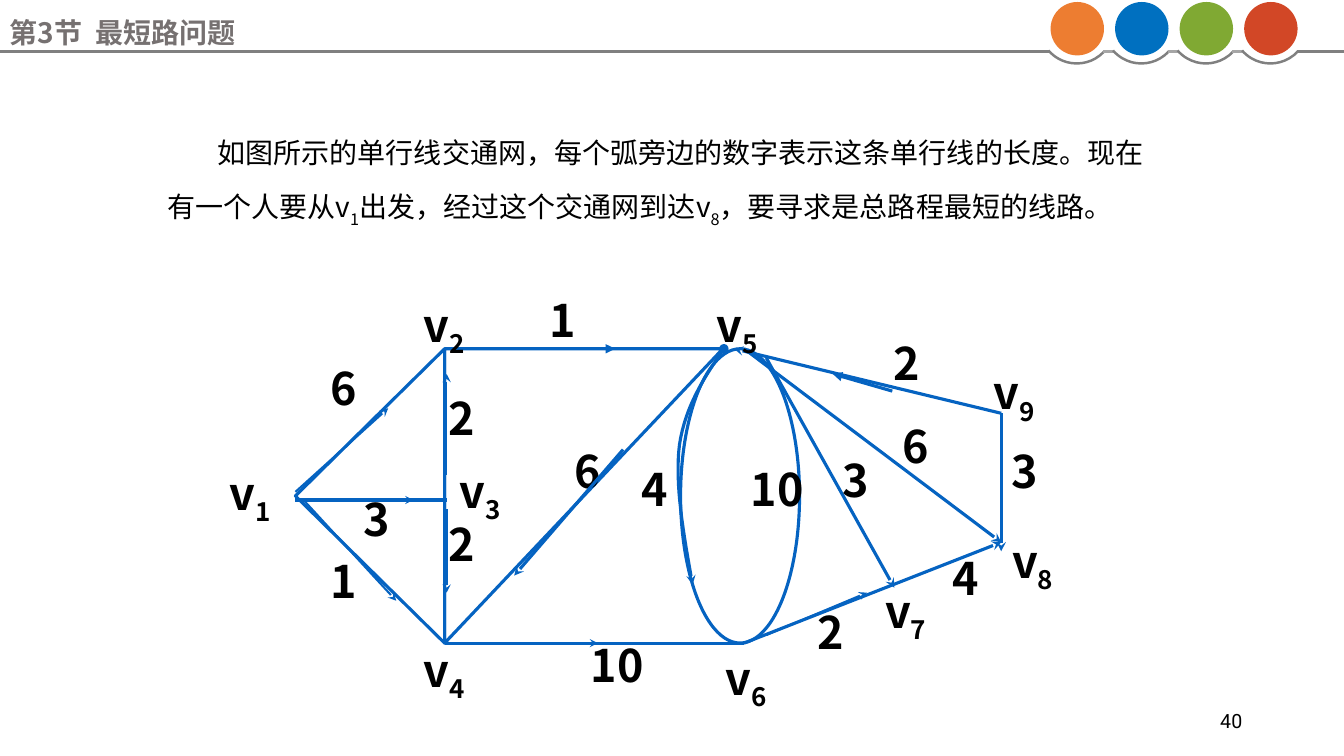
"""Build the slide on the shortest-path problem in a one-way road network."""
import pptx
import pptx.dml.color
import pptx.enum.shapes
import pptx.enum.text
import pptx.oxml.ns
import pptx.util
from lxml import etree

SHAPE = pptx.enum.shapes.MSO_SHAPE
ALIGN = pptx.enum.text.PP_ALIGN
ANCHOR = pptx.enum.text.MSO_ANCHOR
FIT = pptx.enum.text.MSO_AUTO_SIZE.SHAPE_TO_FIT_TEXT
qn = pptx.oxml.ns.qn

THEME = {
    "font": "Noto Sans CJK SC", "page_font": "Roboto",
    "ink": "000000", "edge": "0563C1", "heading": "767171",
    "rule": "808080", "link": "A6A6A6",
    "dots": ["ED7D31", "0070C0", "80A933", "D24726"],
    "body": 20, "label": 32, "page": 14,
    "thick": 2.25, "medium": 1.5, "thin": 0.75, "rule_width": 1.77,
}

HEADING = "第3节  最短路问题"
PAGE = "40"
QUESTION = [
    ("如图所示的单行线交通网，每个弧旁边的数字表示这条单行线的长度。现在有一个人要从v", 0),
    ("1", -30), ("出发，经过这个交通网到达v", 0), ("8", -30),
    ("，要寻求是总路程最短的线路。", 0),
]

# Positions below are in inches; cm() turns them into lengths.
NODES = {
    "1": (2.18, 4.63), "2": (4.1, 2.96), "3": (4.46, 4.61),
    "4": (4.1, 6.38), "5": (7.01, 2.96), "6": (7.1, 6.46),
    "7": (8.68, 5.8), "8": (9.94, 5.3), "9": (9.76, 3.63),
}
WEIGHTS = [
    ("6", 3.18, 3.63), ("3", 8.26, 4.55), ("6", 8.85, 4.21),
    ("2", 8.76, 3.38), ("3", 9.93, 4.46), ("4", 9.35, 5.52),
    ("10", 5.76, 6.38), ("2", 8.01, 6.05), ("3", 3.51, 4.93),
    ("1", 3.18, 5.55), ("2", 4.35, 3.93), ("6", 5.6, 4.46),
    ("2", 4.35, 5.18), ("4", 6.26, 4.63), ("10", 7.35, 4.63),
]
EDGES = [
    ((4.41, 6.38), (7.38, 6.38), "thick", None, None),
    ((7.38, 6.38), (9.93, 5.38), "thick", None, "stealth"),
    ((9.93, 4.1), (9.93, 5.47), "thick", None, "stealth"),
    ((7.28, 3.46), (9.93, 4.1), "thick", "stealth", None),
    ((7.38, 3.46), (9.93, 5.38), "thick", None, "stealth"),
    ((7.6, 3.55), (8.87, 5.83), "thick", None, "stealth"),
    ((2.93, 4.96), (4.43, 4.96), "thick", None, None),
]
DIRECTIONS = [
    ((2.93, 4.88), (3.85, 4.05), "medium", None, "stealth"),
    ((3.01, 4.96), (3.93, 5.96), "medium", None, "stealth"),
    ((3.01, 4.96), (4.1, 4.96), "medium", None, "stealth"),
    ((4.43, 4.71), (4.43, 3.71), "thin", None, "stealth"),
    ((4.43, 5.05), (4.43, 5.88), "medium", None, "stealth"),
    ((6.18, 4.46), (5.1, 5.71), "thick", None, "stealth"),
    ((4.85, 6.38), (5.93, 6.38), "medium", None, "stealth"),
    ((7.6, 6.3), (8.6, 5.88), "medium", None, "stealth"),
    ((5.35, 3.46), (6.1, 3.46), "thick", None, "triangle"),
    ((8.85, 3.88), (8.26, 3.71), "thick", None, "triangle"),
]
CURVE = [
    ((7.18, 3.46), (6.99, 3.74), (6.8, 4.02), (6.74, 4.41)),
    ((6.74, 4.41), (6.69, 4.8), (6.78, 5.3), (6.87, 5.8)),
]
CURVE_STEPS = 16
DOT_LEFT, DOT_TOP, DOT_SIZE, DOT_PITCH = 10.42, 0.02, 0.53, 0.64
ARC_LEFT, ARC_TOP, ARC_SIZE = 10.31, -0.11, 0.74
RULE_Y = 0.51


def cm(inches):
    return pptx.util.Cm(inches * 2.54)


def rgb(color):
    return pptx.dml.color.RGBColor.from_string(color)


def set_line(s, color, width, head=None, tail=None):
    s.line.color.rgb = rgb(color)
    s.line.width = pptx.util.Pt(width)
    ln = s.line._get_or_add_ln()
    for tag, kind in (("a:headEnd", head), ("a:tailEnd", tail)):
        if kind:
            etree.SubElement(ln, qn(tag)).set("type", kind)


def add_line(slide, start, end, color, width, head=None, tail=None):
    c = slide.shapes.add_connector(
        pptx.enum.shapes.MSO_CONNECTOR.STRAIGHT, *map(cm, start + end))
    set_line(c, color, width, head, tail)
    etree.SubElement(c._element.spPr, qn("a:effectLst"))


def add_shape(slide, kind, box, fill=None, line=None, width=THEME["thick"]):
    sp = slide.shapes.add_shape(kind, *map(cm, box))
    sp.shadow.inherit = False
    if fill:
        sp.fill.solid()
        sp.fill.fore_color.rgb = rgb(fill)
    else:
        sp.fill.background()
    if line:
        set_line(sp, line, width)
    else:
        sp.line.fill.background()
    return sp


def add_text(slide, box, runs, size, color=THEME["ink"], font=THEME["font"],
             bold=False, wrap=True):
    tf = slide.shapes.add_textbox(*map(cm, box)).text_frame
    tf.word_wrap = wrap
    p = tf.paragraphs[0]
    for text, baseline in runs:
        r = p.add_run()
        r.text = text
        r.font.size = pptx.util.Pt(size)
        r.font.bold = bold
        r.font.name = font
        r.font.color.rgb = rgb(color)
        rPr = r.font._element
        etree.SubElement(rPr, qn("a:ea")).set("typeface", font)
        if baseline:
            rPr.set("baseline", str(baseline * 1000))
    return tf, p


def add_label(slide, box, runs, wrap=False, before=20):
    tf, p = add_text(slide, box, runs, THEME["label"], bold=True, wrap=wrap)
    tf.auto_size = FIT
    p.line_spacing = 0.8
    spacing = etree.SubElement(p._p.get_or_add_pPr(), qn("a:spcBef"))
    etree.SubElement(spacing, qn("a:spcPct")).set("val", str(before * 1000))


def add_lines(slide, lines):
    for start, end, width, head, tail in lines:
        add_line(slide, start, end, THEME["edge"], THEME[width], head, tail)


def add_curve(slide):
    points = []
    for a, b, c, d in CURVE:
        for i in range(CURVE_STEPS + 1):
            t = i / CURVE_STEPS
            u = 1 - t
            points.append(tuple(
                cm(u**3 * a[k] + 3 * u * u * t * b[k] + 3 * u * t * t * c[k] + t**3 * d[k])
                for k in (0, 1)))
    builder = slide.shapes.build_freeform(*points[0])
    builder.add_line_segments(points[1:], close=False)
    sp = builder.convert_to_shape()
    sp.shadow.inherit = False
    sp.fill.background()
    set_line(sp, THEME["edge"], THEME["thick"], "oval", "stealth")


def add_network(slide):
    edge = THEME["edge"]
    add_shape(slide, SHAPE.ISOSCELES_TRIANGLE, (2.21, 4.18, 2.92, 1.48), line=edge).rotation = 270
    sp = add_shape(slide, SHAPE.RIGHT_TRIANGLE, (4.41, 3.46, 2.76, 2.92), line=edge)
    sp.rotation = 180
    sp._element.spPr.find(qn("a:xfrm")).set("flipH", "1")
    add_shape(slide, SHAPE.OVAL, (6.75, 3.46, 1.18, 2.92), line=edge)
    add_lines(slide, EDGES)
    for number, (x, y) in NODES.items():
        add_label(slide, (x, y, 0.65, 0.56), [("v", 0), (number, -25)])
    for text, x, y in WEIGHTS:
        add_label(slide, (x, y, 0.2 + 0.28 * len(text), 0.56), [(text, 0)])
    add_label(slide, (5.35, 2.96, 0.42, 0.53), [("1", 0)], wrap=True, before=50)
    add_lines(slide, DIRECTIONS)
    add_curve(slide)


def add_header(slide):
    rule, width = THEME["rule"], THEME["rule_width"]
    for start, end in ((0, 10.41), (12.86, 13.33)):
        add_line(slide, (start, RULE_Y), (end, RULE_Y), rule, width)
    for i, color in enumerate(THEME["dots"]):
        shift = i * DOT_PITCH
        if i:
            x = DOT_LEFT + shift
            add_line(slide, (x - 0.12, RULE_Y), (x - 0.01, RULE_Y), THEME["link"], width)
        arc = add_shape(slide, SHAPE.ARC, (ARC_LEFT + shift, ARC_TOP, ARC_SIZE, ARC_SIZE),
                        line=rule, width=width)
        arc.adjustments[0], arc.adjustments[1] = 25.38, 83.6
        add_shape(slide, SHAPE.OVAL, (DOT_LEFT + shift, DOT_TOP, DOT_SIZE, DOT_SIZE), fill=color)
    add_text(slide, (0, 0.1, 10.96, 0.36), [(HEADING, 0)], THEME["body"],
             THEME["heading"], bold=True)


def main():
    prs = pptx.Presentation()
    prs.slide_width, prs.slide_height = cm(13.33), cm(7.5)
    slide = prs.slides.add_slide(prs.slide_layouts[6])
    tf, p = add_text(slide, (1.56, 1.16, 10.12, 1.13), QUESTION, THEME["body"])
    tf.vertical_anchor = ANCHOR.MIDDLE
    p.line_spacing = 1.5
    p._p.get_or_add_pPr().set("indent", str(cm(0.5)))
    tf, p = add_text(slide, (9.42, 6.95, 3, 0.4), [(PAGE, 0)], THEME["page"],
                     font=THEME["page_font"])
    tf.vertical_anchor = ANCHOR.MIDDLE
    p.alignment = ALIGN.RIGHT
    add_network(slide)
    add_header(slide)
    prs.save("out.pptx")


if __name__ == "__main__":
    main()
